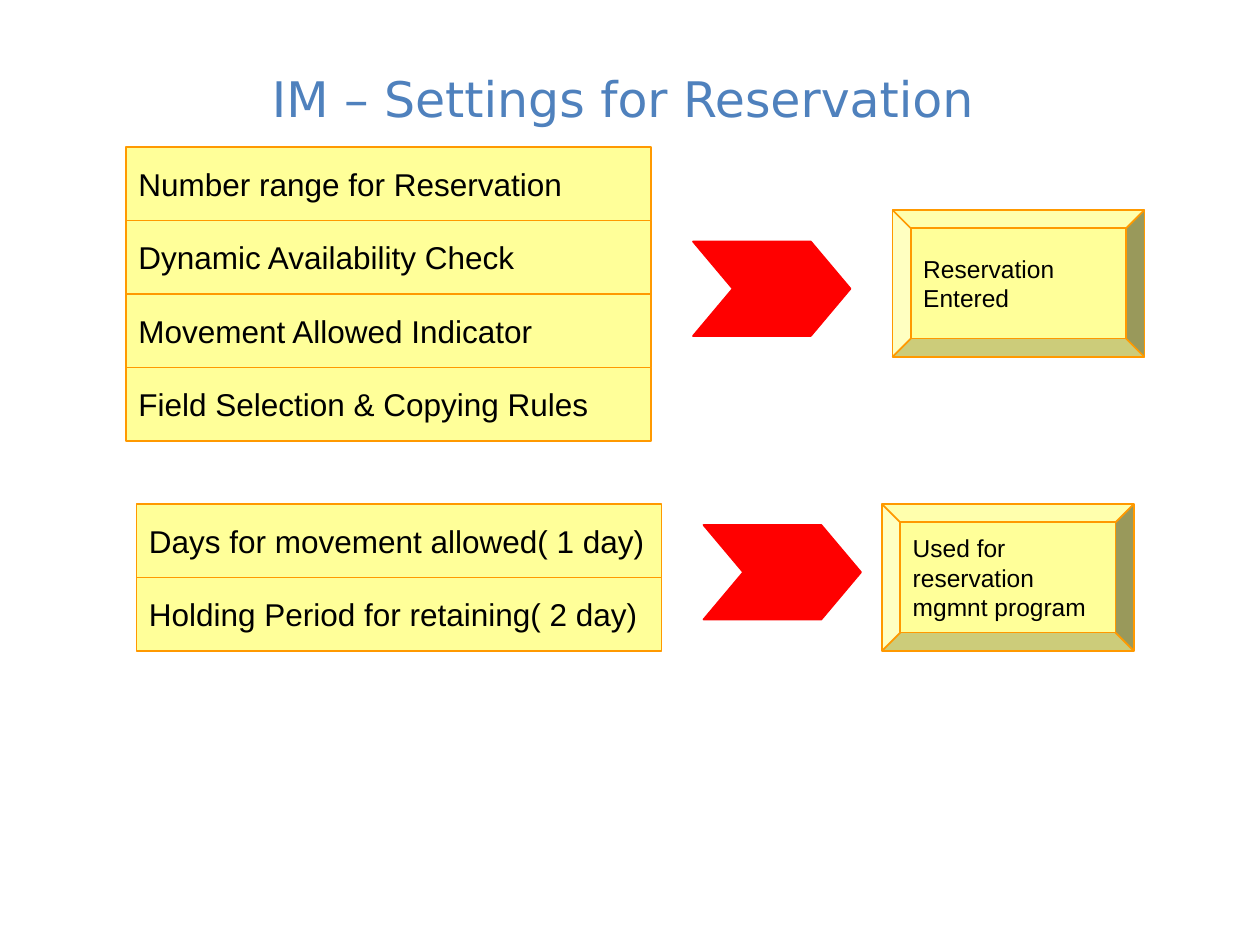
from dataclasses import dataclass

from pptx import Presentation
from pptx.dml.color import RGBColor
from pptx.enum.shapes import MSO_SHAPE
from pptx.enum.text import MSO_ANCHOR, PP_ALIGN
from pptx.shapes.autoshape import Shape
from pptx.slide import Slide
from pptx.util import Inches, Pt

COLORS = {
    "title": "4F81BD",
    "box": "FFFF99",
    "border": "FF9900",
    "arrow": "FF0000",
    "text": "000000",
}

# Grid of 120 columns by 90 rows on a 10 by 7.5 inch slide
CELL = Inches(10) // 120
BOX_COLUMNS, BOX_ROWS = 50, 7


@dataclass(frozen=True)
class Place:
    column: float
    row: float
    columns: float
    rows: float


@dataclass(frozen=True)
class Flow:
    """A stack of settings, an arrow and the result it leads to."""
    settings: tuple[str, ...]
    column: int
    row: int
    arrow: Place
    result: str
    result_place: Place


FLOWS = (
    Flow(
        ("Number range for Reservation", "Dynamic Availability Check",
         "Movement Allowed Indicator", "Field Selection & Copying Rules"),
        12, 14, Place(66, 23, 15, 9),
        "Reservation Entered", Place(85, 20, 24, 14),
    ),
    Flow(
        ("Days for movement allowed( 1 day)", "Holding Period for retaining( 2 day)"),
        13, 48, Place(67, 50, 15, 9),
        "Used for reservation mgmnt program", Place(84, 48, 24, 14),
    ),
)


def color(name: str) -> RGBColor:
    return RGBColor.from_string(COLORS[name])


def bounds(place: Place) -> list[int]:
    return [round(CELL * length)
            for length in (place.column, place.row, place.columns, place.rows)]


def write(shape: Shape, text: str, size: int, font: str = "Arial",
          ink: str = "text", align: PP_ALIGN = PP_ALIGN.LEFT, wrap: bool = True) -> None:
    frame = shape.text_frame
    frame.word_wrap = wrap
    frame.vertical_anchor = MSO_ANCHOR.MIDDLE
    paragraph = frame.paragraphs[0]
    paragraph.alignment = align
    run = paragraph.add_run()
    run.text = text
    run.font.name = font
    run.font.size = Pt(size)
    run.font.color.rgb = color(ink)


def draw_shape(slide: Slide, kind: MSO_SHAPE, place: Place, fill: str, line: str) -> Shape:
    shape = slide.shapes.add_shape(kind, *bounds(place))
    shape.shadow.inherit = False
    shape.fill.solid()
    shape.fill.fore_color.rgb = color(fill)
    shape.line.color.rgb = color(line)
    shape.line.width = Pt(1)
    return shape


def draw_flow(slide: Slide, flow: Flow) -> None:
    # Stack of settings
    for index, setting in enumerate(flow.settings):
        place = Place(flow.column, flow.row + index * BOX_ROWS, BOX_COLUMNS, BOX_ROWS)
        box = draw_shape(slide, MSO_SHAPE.RECTANGLE, place, "box", "border")
        write(box, setting, 18, wrap=False)

    # Result
    result = draw_shape(slide, MSO_SHAPE.BEVEL, flow.result_place, "box", "border")
    result.adjustments[0] = 0.125
    write(result, flow.result, 14)

    # Arrow between them
    arrow = draw_shape(slide, MSO_SHAPE.CHEVRON, flow.arrow, "arrow", "arrow")
    arrow.adjustments[0] = 0.42


def main() -> None:
    presentation = Presentation()
    presentation.slide_width = CELL * 120
    presentation.slide_height = CELL * 90
    slide = presentation.slides.add_slide(presentation.slide_layouts[6])

    # Title
    title = slide.shapes.add_textbox(*bounds(Place(2, 5, 114.6, 8.75)))
    write(title, "IM – Settings for Reservation", 28, "DejaVu Sans", "title", PP_ALIGN.CENTER)

    for flow in FLOWS:
        draw_flow(slide, flow)
    presentation.save("out.pptx")


if __name__ == "__main__":
    main()
